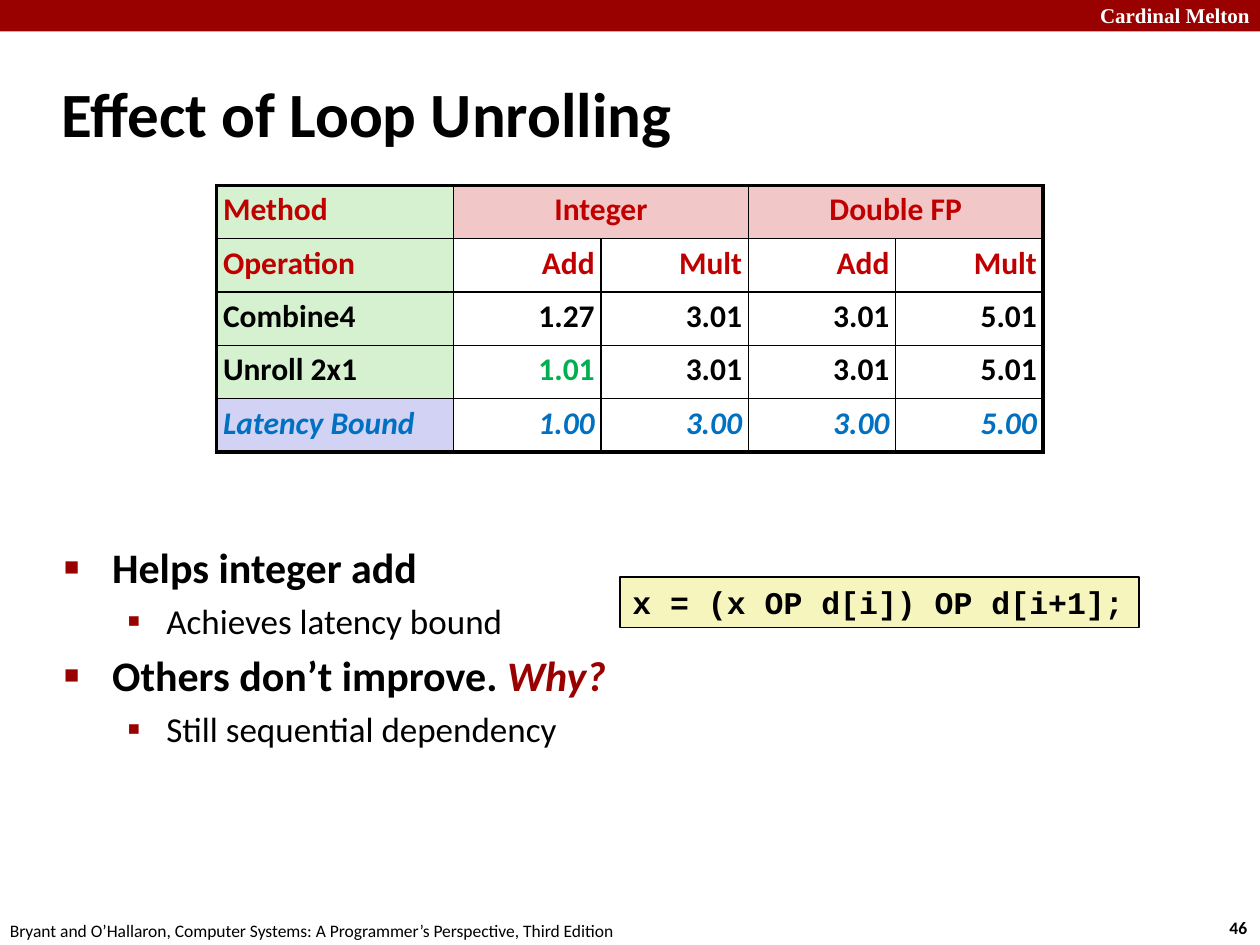
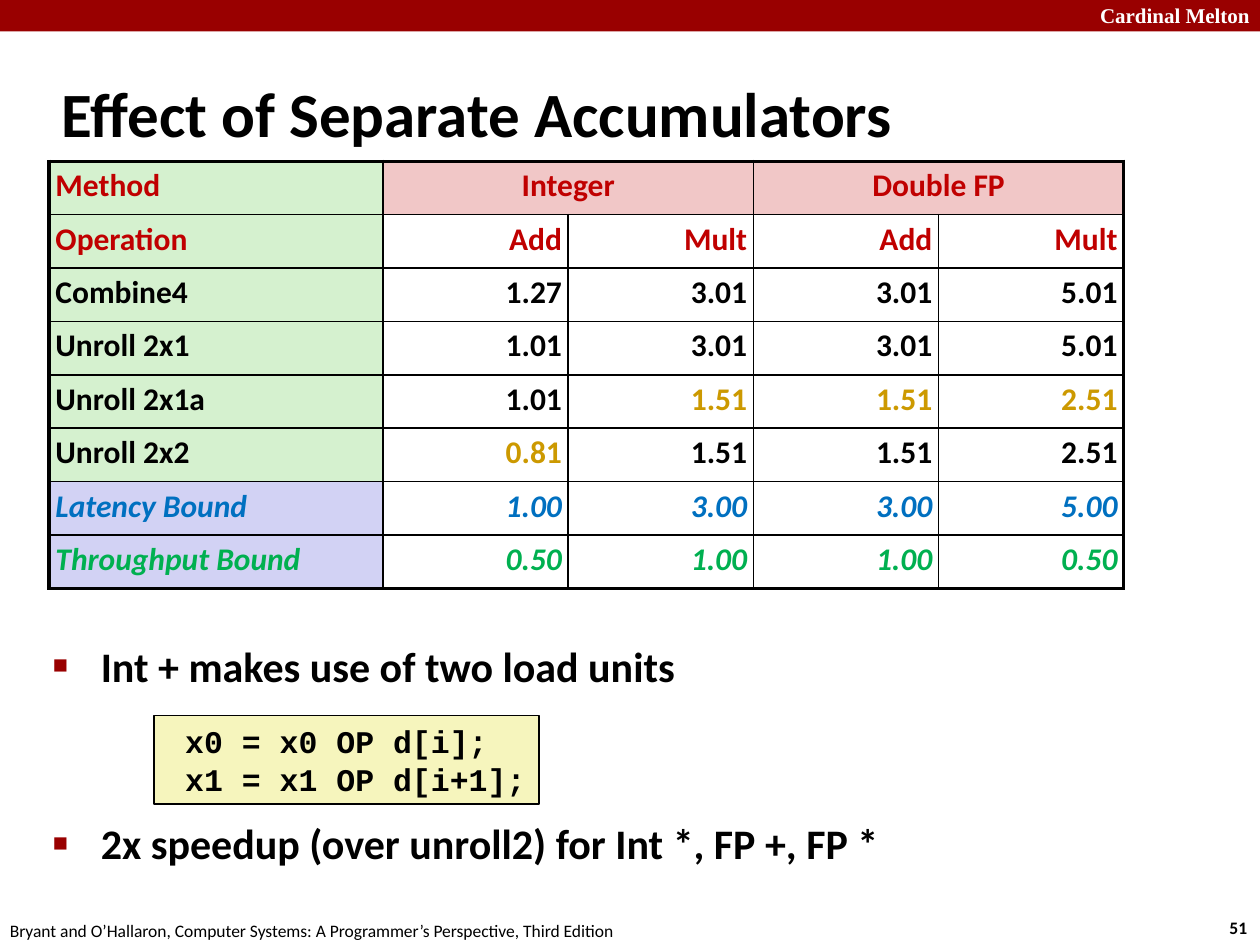
from lxml import etree
from pptx import Presentation
from pptx.dml.color import RGBColor
from pptx.enum.shapes import MSO_SHAPE as Shape
from pptx.enum.text import MSO_ANCHOR as Anchor, MSO_AUTO_SIZE as AutoSize, PP_ALIGN as Align
from pptx.oxml.ns import qn
from pptx.util import Inches, Pt

BLACK, WHITE, CRIMSON = "000000", "FFFFFF", "990000"
RED, GREEN, BLUE, GOLD = "C00000", "00B050", "0070C0", "CC9900"
METHOD_FILL, TYPE_FILL, BOUND_FILL, CODE_FILL = "D5F1CF", "F1C7C7", "D2D2F4", "F6F5BD"
THIN, THICK = Pt(1), Pt(2.25)
BULLETS = [("■", 60, 0.38, -0.38, 24), ("▪", 110, 0.81, -0.31, 20)]
FOOTER = "Bryant and O’Hallaron, Computer Systems: A Programmer’s Perspective, Third Edition"


def paint(fill, color):
    fill.solid()
    fill.fore_color.rgb = RGBColor.from_string(color)


def add_span(para, text, size, color=BLACK, bold=True, italic=False, face="Calibri"):
    span = para.add_run()
    span.text = text
    span.font.name = face
    span.font.size = Pt(size)
    span.font.bold = bold
    span.font.italic = italic
    paint(span.font.fill, color)


HEADER = [
    (["Method", "Integer", "", "Double FP", ""], RED, {}),
    (["Operation", "Add", "Mult", "Add", "Mult"], RED, {}),
    (["Combine4", "1.27", "3.01", "3.01", "5.01"], BLACK, {}),
]
UNROLLED = ["Unroll 2x1", "1.01", "3.01", "3.01", "5.01"]
LATENCY = (["Latency Bound", "1.00", "3.00", "3.00", "5.00"], BLUE, {})

slides = [
    {
        "number": "46",
        "title": "Effect of Loop Unrolling",
        "body": (0.41, 4.25, 9.09, 2.92),
        "points": [
            (0, None, [("Helps integer add", BLACK, False)]),
            (1, None, [("Achieves latency bound", BLACK, False)]),
            (0, None, [("Others don’t improve. ", BLACK, False), ("Why?", CRIMSON, True)]),
            (1, None, [("Still sequential dependency", BLACK, False)]),
        ],
        "code_at": (4.92, 4.58, 4.12, 0.4),
        "code_inset": 0.1,
        "code": ["x = (x OP d[i]) OP d[i+1];"],
        "table_at": (1.72, 1.47),
        "widths": (1.88, 1.17),
        "rows": HEADER + [(UNROLLED, BLACK, {1: GREEN}), LATENCY],
    },
    {
        "number": "51",
        "title": "Effect of Separate Accumulators",
        "body": (0.32, 5.03, 9.09, 2.05),
        "points": [
            (0, None, [("Int + makes use of two load units", BLACK, False)]),
            (0, 72.5, [("2x speedup (over unroll2) for Int *, FP +, FP *", BLACK, False)]),
        ],
        "code_at": (1.22, 5.68, 3.06, 0.7),
        "code_inset": 0.25,
        "code": ["x0 = x0 OP d[i];", "x1 = x1 OP d[i+1];"],
        "table_at": (0.39, 1.28),
        "widths": (2.65, 1.47),
        "rows": HEADER + [
            (UNROLLED, BLACK, {}),
            (["Unroll 2x1a", "1.01", "1.51", "1.51", "2.51"], BLACK, {2: GOLD, 3: GOLD, 4: GOLD}),
            (["Unroll 2x2", "0.81", "1.51", "1.51", "2.51"], BLACK, {1: GOLD}),
            LATENCY,
            (["Throughput Bound", "0.50", "1.00", "1.00", "0.50"], GREEN, {}),
        ],
    },
]

deck = Presentation()
deck.slide_width, deck.slide_height = Inches(10), Inches(7.5)

for content in slides:
    page = deck.slides.add_slide(deck.slide_layouts[1])
    paint(page.background.fill, WHITE)

    band = page.shapes.add_shape(Shape.RECTANGLE, 0, 0, Inches(10), Inches(0.25))
    band.shadow.inherit = False
    paint(band.fill, CRIMSON)
    band.line.fill.background()

    name_box = page.shapes.add_textbox(*map(Inches, (8, -0.03, 2, 0.3)))
    name_box.text_frame.word_wrap = True
    name_box.text_frame.margin_right = Inches(0.08)
    name_para = name_box.text_frame.paragraphs[0]
    name_para.alignment = Align.RIGHT
    add_span(name_para, "Cardinal Melton", 12, WHITE, face="Times New Roman")

    labels = [
        (content["number"], (9.66, 7.23, 0.37, 0.27), True),
        (FOOTER, (-0.02, 7.25, 5.08, 0.27), False),
    ]
    for text, place, bold in labels:
        box = page.shapes.add_textbox(*map(Inches, place))
        box.text_frame.word_wrap = False
        add_span(box.text_frame.paragraphs[0], text, 10, bold=bold)

    title = page.shapes.title
    title.left, title.top, title.width, title.height = map(Inches, (0.39, 0.48, 8.3, 0.83))
    title.text_frame.auto_size = AutoSize.NONE
    title.text_frame.vertical_anchor = Anchor.MIDDLE
    title.text_frame.paragraphs[0].alignment = Align.LEFT
    add_span(title.text_frame.paragraphs[0], content["title"], 36)

    body = page.placeholders[1]
    body.left, body.top, body.width, body.height = map(Inches, content["body"])
    body.text_frame.auto_size = AutoSize.NONE
    for index, (level, gap, spans) in enumerate(content["points"]):
        para = body.text_frame.paragraphs[0] if index == 0 else body.text_frame.add_paragraph()
        mark, scale, margin, indent, size = BULLETS[level]
        para.level = level
        para.space_before = Pt(gap or size * 0.2)
        properties = para._p.get_or_add_pPr()
        properties.set("marL", str(Inches(margin)))
        properties.set("indent", str(Inches(indent)))
        bullet_color = etree.SubElement(properties, qn("a:buClr"))
        etree.SubElement(bullet_color, qn("a:srgbClr"), val=CRIMSON)
        etree.SubElement(properties, qn("a:buSzPct"), val=str(scale * 1000))
        etree.SubElement(properties, qn("a:buChar"), char=mark)
        for text, color, italic in spans:
            add_span(para, text, size, color, level == 0, italic)

    code = page.shapes.add_shape(Shape.RECTANGLE, *map(Inches, content["code_at"]))
    code.shadow.inherit = False
    paint(code.fill, CODE_FILL)
    paint(code.line.fill, BLACK)
    code.line.width = THIN
    frame = code.text_frame
    frame.word_wrap = False
    frame.vertical_anchor = Anchor.TOP
    frame.margin_left = Inches(content["code_inset"])
    for index, text in enumerate(content["code"]):
        para = frame.paragraphs[0] if index == 0 else frame.add_paragraph()
        para.alignment = Align.LEFT
        add_span(para, text, 18, face="Courier New")

    rows = content["rows"]
    label_width, value_width = content["widths"]
    left, top = content["table_at"]
    table = page.shapes.add_table(
        len(rows), 5, Inches(left), Inches(top),
        Inches(label_width + 4 * value_width), Inches(0.424 * len(rows)),
    ).table
    table.first_row = table.horz_banding = False
    for column in range(5):
        table.columns[column].width = Inches(value_width if column else label_width)
    for first in (1, 3):
        table.cell(0, first).merge(table.cell(0, first + 1))

    for row, (texts, row_color, highlights) in enumerate(rows):
        table.rows[row].height = Inches(0.424)
        bound = texts[0].endswith("Bound")
        for column, text in enumerate(texts):
            cell = table.cell(row, column)
            cell.margin_left = cell.margin_right = Inches(0.05)
            cell.margin_top = cell.margin_bottom = Inches(0.05)
            cell.vertical_anchor = Anchor.TOP
            if column == 0:
                paint(cell.fill, BOUND_FILL if bound else METHOD_FILL)
            else:
                paint(cell.fill, WHITE if row else TYPE_FILL)
            para = cell.text_frame.paragraphs[0]
            para.line_spacing = 0.95
            if column:
                para.alignment = Align.RIGHT if row else Align.CENTER
            if text:
                add_span(para, text, 18, highlights.get(column, row_color), italic=bound)

            outer_edges = [
                ("a:lnL", column == 0),
                ("a:lnR", column == 4 or (row == 0 and column == 3)),
                ("a:lnT", row == 0),
                ("a:lnB", row == len(rows) - 1),
            ]
            properties = cell._tc.get_or_add_tcPr()
            for index, (tag, outer) in enumerate(outer_edges):
                border = etree.Element(qn(tag), w=str(THICK if outer else THIN))
                border_fill = etree.SubElement(border, qn("a:solidFill"))
                etree.SubElement(border_fill, qn("a:srgbClr"), val=BLACK)
                properties.insert(index, border)

deck.save("out.pptx")
